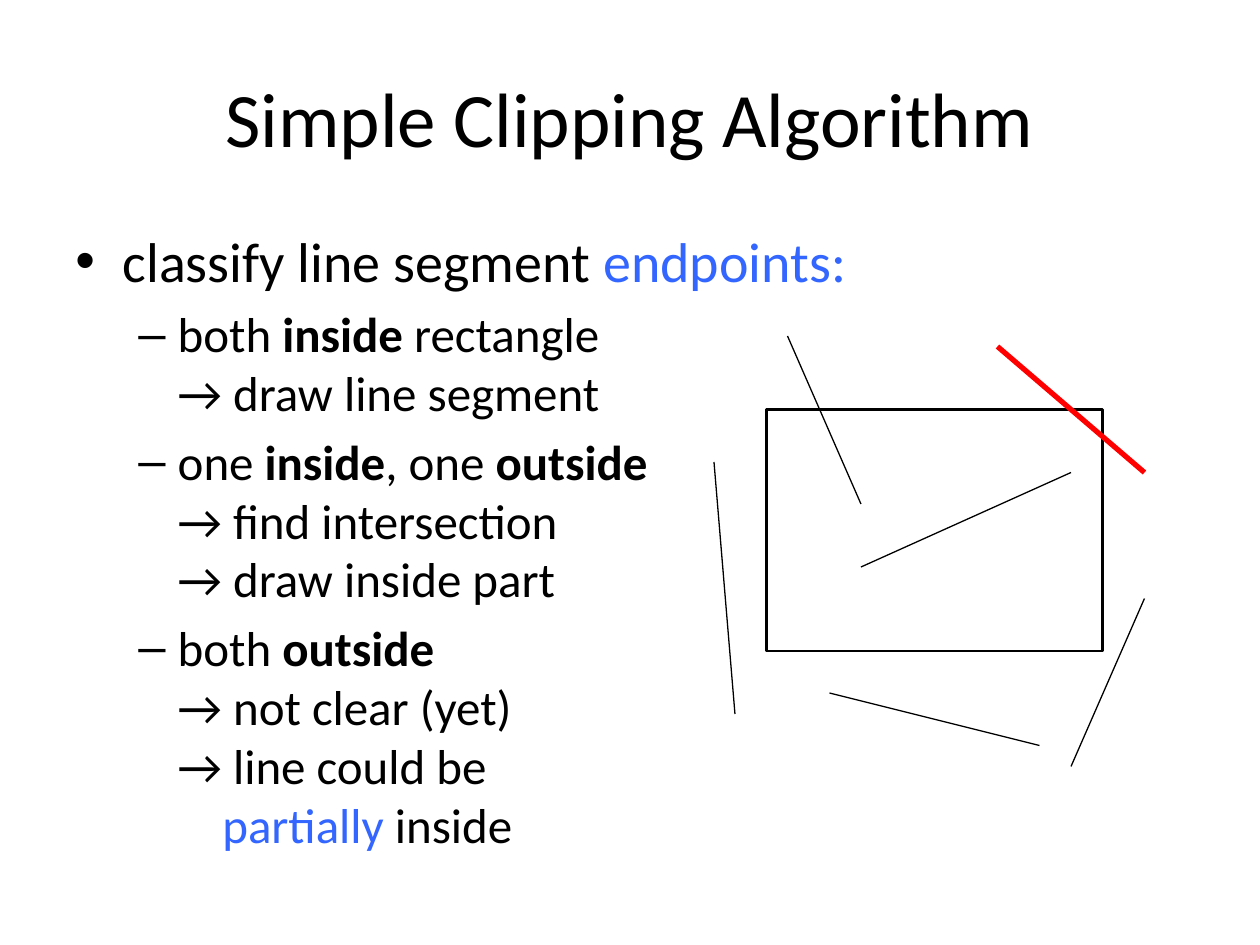
from lxml import etree
from pptx import Presentation
from pptx.dml.color import RGBColor
from pptx.enum import shapes, text
from pptx.oxml import ns
from pptx.util import Pt

BLACK = RGBColor(0x00, 0x00, 0x00)
BLUE = RGBColor(0x33, 0x66, 0xFF)
RED = RGBColor(0xFF, 0x00, 0x00)


class SlideBuilder:
    font_name = "Calibri"

    def __init__(self, slide):
        self.slide = slide

    def text_frame(self, left, top, width, height, anchor):
        box = self.slide.shapes.add_textbox(Pt(left), Pt(top), Pt(width), Pt(height))
        frame = box.text_frame
        frame.word_wrap = True
        frame.vertical_anchor = anchor
        return frame

    def style(self, paragraph, size):
        paragraph.font.name = self.font_name
        paragraph.font.size = Pt(size)
        paragraph.font.color.rgb = BLACK

    def title(self, words, left, top, width, height):
        frame = self.text_frame(left, top, width, height, text.MSO_ANCHOR.MIDDLE)
        paragraph = frame.paragraphs[0]
        paragraph.text = words
        paragraph.alignment = text.PP_ALIGN.CENTER
        self.style(paragraph, 44)

    def item(self, paragraph, runs, size, margin, hanging=0, bullet=None):
        self.style(paragraph, size)
        properties = paragraph._p.get_or_add_pPr()
        properties.set("marL", str(Pt(margin)))
        properties.set("indent", str(Pt(-hanging)))
        if bullet:
            paragraph.space_before = Pt(size * 0.2)
            font = etree.Element(ns.qn("a:buFont"), typeface="Arial")
            mark = etree.Element(ns.qn("a:buChar"), char=bullet)
            properties.find(ns.qn("a:spcBef")).addnext(font)
            font.addnext(mark)
        for words, bold, color in runs:
            for index, line in enumerate(words.split("\n")):
                if index:
                    paragraph.add_line_break()
                if line:
                    run = paragraph.add_run()
                    run.text = line
                    if bold:
                        run.font.bold = True
                    if color:
                        run.font.color.rgb = color

    def rectangle(self, left, top, width, height, weight):
        shape = self.slide.shapes.add_shape(
            shapes.MSO_SHAPE.RECTANGLE, Pt(left), Pt(top), Pt(width), Pt(height))
        shape.shadow.inherit = False
        shape.fill.background()
        shape.line.color.rgb = BLACK
        shape.line.width = Pt(weight)

    def segment(self, start, end, color=BLACK, weight=0.75):
        line = self.slide.shapes.add_connector(
            shapes.MSO_CONNECTOR.STRAIGHT, *map(Pt, start + end))
        line.line.color.rgb = color
        line.line.width = Pt(weight)
        etree.SubElement(line._element.spPr, ns.qn("a:effectLst"))


def plain(words):
    return words, False, None


def strong(words):
    return words, True, None


def blue(words):
    return words, False, BLUE


presentation = Presentation()
presentation.slide_width, presentation.slide_height = Pt(720), Pt(540)
builder = SlideBuilder(presentation.slides.add_slide(presentation.slide_layouts[6]))

builder.title("Simple Clipping Algorithm", 36, 21.6, 648, 90)

body = builder.text_frame(36, 126, 648, 356.4, text.MSO_ANCHOR.TOP)
builder.item(body.paragraphs[0], [plain("classify line segment "), blue("endpoints:")],
             32, 27, 27, "•")
cases = [
    [plain("both "), strong("inside"), plain(" rectangle\n→ draw line segment")],
    [plain("one "), strong("inside"), plain(", one "), strong("outside"),
     plain("\n→ find intersection\n→ draw inside part")],
    [plain("both "), strong("outside"), plain("\n→ not clear (yet)\n→ line could be")],
]
for case in cases:
    builder.item(body.add_paragraph(), case, 28, 58.5, 22.5, "–")
builder.item(body.add_paragraph(), [blue("partially"), plain(" inside")], 28, 84)

builder.rectangle(438, 234, 192, 138, 1.5)
segments = [
    ((492, 324), (612, 270)),
    ((450, 192), (492, 288)),
    ((612, 438), (654, 342)),
    ((474, 396), (594, 426)),
    ((408, 264), (420, 408)),
]
for start, end in segments:
    builder.segment(start, end)
builder.segment((570, 198), (654, 270), RED, 3)

presentation.save("out.pptx")
